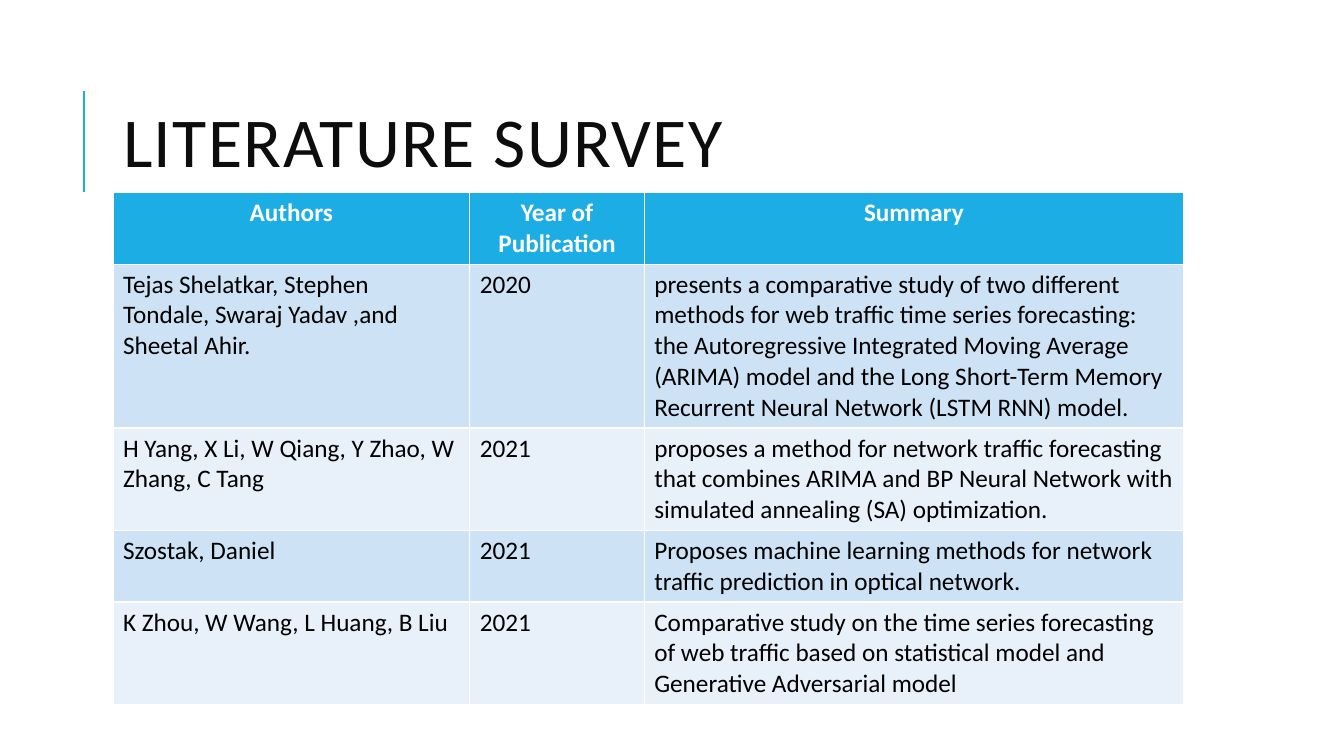
from dataclasses import dataclass
from typing import Any

import pptx
import pptx.dml.color
import pptx.enum.shapes
import pptx.enum.text
import pptx.oxml
import pptx.util

Inches = pptx.util.Inches
Align = pptx.enum.text.PP_ALIGN
ACCENT = "1CADE4"
BANDS = ("CDE3F5", "E8F1FA")
COLUMN_WIDTHS = (3.54, 1.73, 5.35)
LINE_HEIGHT = 0.3
CELL_MARGINS = 0.1
HEADERS = ("Authors", "Year of Publication", "Summary")


@dataclass(frozen=True)
class Study:
    authors: str
    year: str
    summary: str
    lines: int


STUDIES = (
    Study(
        "Tejas Shelatkar, Stephen\nTondale, Swaraj Yadav ,and Sheetal Ahir.",
        "2020",
        "presents a comparative study of two different methods for web traffic "
        "time series forecasting: the Autoregressive Integrated Moving Average "
        "(ARIMA) model and the Long Short-Term Memory Recurrent Neural Network "
        "(LSTM RNN) model.",
        5,
    ),
    Study(
        "H Yang, X Li, W Qiang, Y Zhao, W Zhang, C Tang",
        "2021",
        "proposes a method for network traffic forecasting that combines ARIMA "
        "and BP Neural Network with simulated annealing (SA) optimization.",
        3,
    ),
    Study(
        "Szostak, Daniel",
        "2021",
        "Proposes machine learning methods for network traffic prediction in "
        "optical network.",
        2,
    ),
    Study(
        "K Zhou, W Wang, L Huang, B Liu",
        "2021",
        "Comparative study on the time series forecasting of web traffic based "
        "on statistical model and Generative Adversarial model",
        3,
    ),
)


def color(value: str) -> pptx.dml.color.RGBColor:
    return pptx.dml.color.RGBColor.from_string(value)


def set_attributes(target: Any, values: dict[str, Any]) -> None:
    for name, value in values.items():
        setattr(target, name, value)


def format_font(font: Any, size: int, text_color: str, bold: bool = False) -> None:
    set_attributes(font, {"name": "Calibri", "size": pptx.util.Pt(size), "bold": bold})
    font.color.rgb = color(text_color)


def draw_title(slide: Any) -> None:
    title = slide.shapes.title
    set_attributes(title, {
        "left": Inches(1.12), "top": Inches(0.64),
        "width": Inches(10.63), "height": Inches(1.64),
    })
    set_attributes(title.text_frame, {
        "text": "LITERATURE SURVEY",
        "word_wrap": True,
        "auto_size": pptx.enum.text.MSO_AUTO_SIZE.NONE,
        "vertical_anchor": pptx.enum.text.MSO_ANCHOR.MIDDLE,
    })
    paragraph = title.text_frame.paragraphs[0]
    set_attributes(paragraph, {"alignment": Align.LEFT, "line_spacing": 0.8})
    run = paragraph.runs[0]
    format_font(run.font, 50, "0D0D0D")
    run.font._element.set("spc", "100")


def draw_accent_line(slide: Any) -> None:
    line = slide.shapes.add_connector(
        pptx.enum.shapes.MSO_CONNECTOR.STRAIGHT,
        Inches(0.83), Inches(1.9), Inches(0.83), Inches(0.9),
    )
    line.line.color.rgb = color(ACCENT)
    line.line.width = pptx.util.Pt(1.5)
    properties = line._element.spPr
    properties.append(pptx.oxml.parse_xml(
        '<a:effectLst xmlns:a="http://schemas.openxmlformats.org/drawingml/2006/main"/>'
    ))


def fill_row(table: Any, index: int, texts: tuple[str, ...], lines: int) -> None:
    header = index == 0
    table.rows[index].height = Inches(lines * LINE_HEIGHT + CELL_MARGINS)
    for column, text in enumerate(texts):
        cell = table.cell(index, column)
        cell.fill.solid()
        cell.fill.fore_color.rgb = color(ACCENT if header else BANDS[(index - 1) % 2])
        cell.text = text
        for paragraph in cell.text_frame.paragraphs:
            paragraph.alignment = Align.CENTER if header else Align.LEFT
            for run in paragraph.runs:
                format_font(run.font, 18, "FFFFFF" if header else "000000", header)


def draw_survey_table(slide: Any) -> None:
    table = slide.shapes.add_table(
        len(STUDIES) + 1, len(HEADERS),
        Inches(1.12), Inches(1.91), Inches(sum(COLUMN_WIDTHS)), Inches(5),
    ).table
    for column, width in zip(table.columns, COLUMN_WIDTHS):
        column.width = Inches(width)
    fill_row(table, 0, HEADERS, 2)
    for index, study in enumerate(STUDIES, start=1):
        fill_row(table, index, (study.authors, study.year, study.summary), study.lines)


def main() -> None:
    presentation = pptx.Presentation()
    set_attributes(presentation, {
        "slide_width": Inches(13.33), "slide_height": Inches(7.5),
    })
    slide = presentation.slides.add_slide(presentation.slide_layouts[5])
    draw_accent_line(slide)
    draw_title(slide)
    draw_survey_table(slide)
    presentation.save("out.pptx")


if __name__ == "__main__":
    main()
